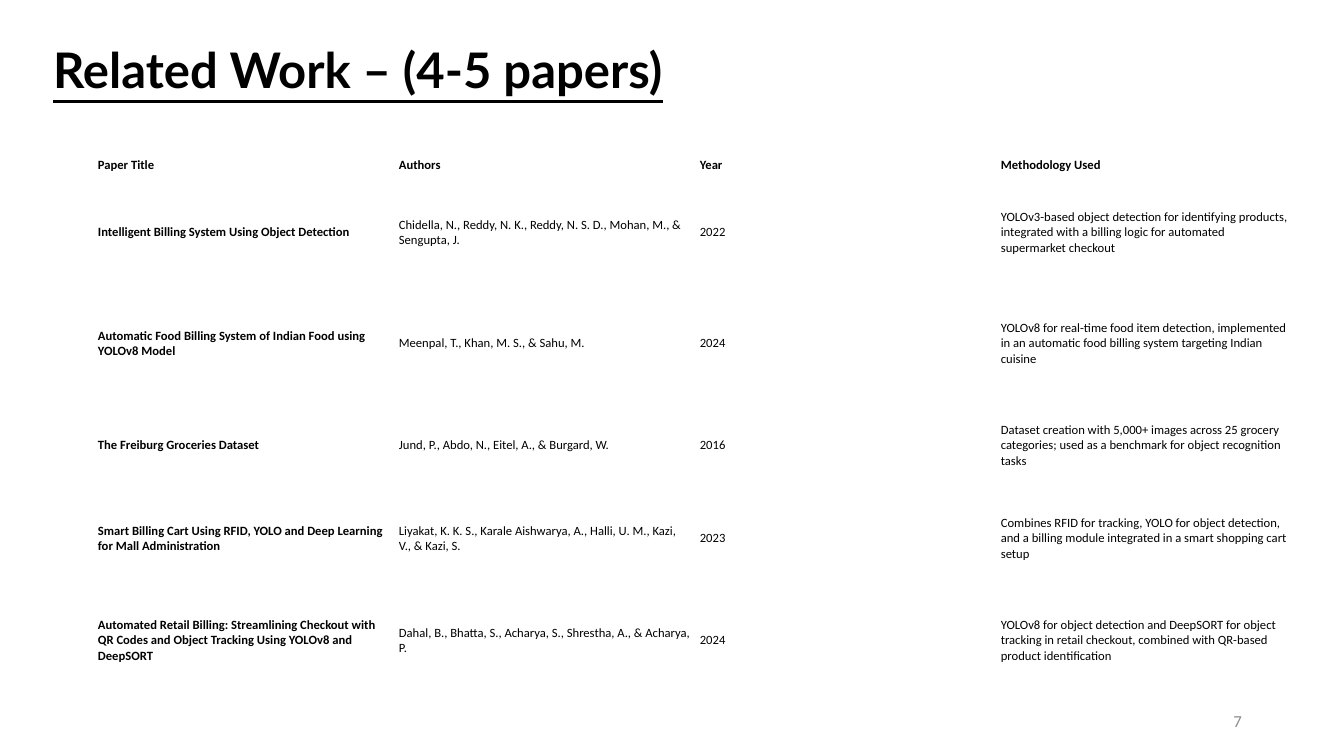
from pptx import Presentation
from pptx import util as u
from pptx.dml.color import RGBColor
from pptx.enum import text

TITLE = "Related Work – (4-5 papers)"
PAGE = "7"
HEADER = ("Paper Title", "Authors", "Year", "Methodology Used")
PAPERS = [
    ("Intelligent Billing System Using Object Detection",
     "Chidella, N., Reddy, N. K., Reddy, N. S. D., Mohan, M., & Sengupta, J.",
     "2022",
     "YOLOv3-based object detection for identifying products, integrated with "
     "a billing logic for automated supermarket checkout"),
    ("Automatic Food Billing System of Indian Food using YOLOv8 Model",
     "Meenpal, T., Khan, M. S., & Sahu, M.",
     "2024",
     "YOLOv8 for real-time food item detection, implemented in an automatic "
     "food billing system targeting Indian cuisine"),
    ("The Freiburg Groceries Dataset",
     "Jund, P., Abdo, N., Eitel, A., & Burgard, W.",
     "2016",
     "Dataset creation with 5,000+ images across 25 grocery categories; used "
     "as a benchmark for object recognition tasks"),
    ("Smart Billing Cart Using RFID, YOLO and Deep Learning for Mall Administration",
     "Liyakat, K. K. S., Karale Aishwarya, A., Halli, U. M., Kazi, V., & Kazi, S.",
     "2023",
     "Combines RFID for tracking, YOLO for object detection, and a billing "
     "module integrated in a smart shopping cart setup"),
    ("Automated Retail Billing: Streamlining Checkout with QR Codes and Object "
     "Tracking Using YOLOv8 and DeepSORT",
     "Dahal, B., Bhatta, S., Acharya, S., Shrestha, A., & Acharya, P.",
     "2024",
     "YOLOv8 for object detection and DeepSORT for object tracking in retail "
     "checkout, combined with QR-based product identification"),
]

COLORS = {"ink": "000000", "page": "8C8C8C"}
FORMATS = {
    "title": {"name": "Lato", "size": u.Pt(35), "bold": True, "underline": True},
    "cell": {"name": "Calibri", "size": u.Pt(9)},
    "page": {"name": "Calibri", "size": u.Pt(12)},
}
SLIDE = (1344, 756)
TITLE_BOX = (43, 0, 1159, 146)
PAGE_BOX = (950, 701, 302, 40)
TABLE_LEFT, TABLE_TOP = 93, 154
COLUMN_WIDTH = 301
ROW_HEIGHTS = (23, 111, 111, 93, 93, 111)
CELL_MARGINS = {"margin_left": 5, "margin_right": 5, "margin_top": 3, "margin_bottom": 3}


def px(n):
    return u.Emu(round(n * 914400 / 100.8))


def set_all(target, values):
    for name, value in values.items():
        setattr(target, name, value)


def write(tf, words, style, color="ink", align=text.PP_ALIGN.LEFT, **extra):
    p = tf.paragraphs[0]
    p.alignment = align
    r = p.add_run()
    r.text = words
    set_all(r.font, {**FORMATS[style], **extra})
    r.font.color.rgb = RGBColor.from_string(COLORS[color])
    return p


def frame(sp):
    tf = sp.text_frame
    set_all(tf, {"word_wrap": True, "auto_size": text.MSO_AUTO_SIZE.NONE,
                 "vertical_anchor": text.MSO_ANCHOR.MIDDLE})
    return tf


def add_title(s):
    sp = s.shapes.title
    set_all(sp, dict(zip(("left", "top", "width", "height"), map(px, TITLE_BOX))))
    write(frame(sp), TITLE, "title").line_spacing = 0.9


def add_papers(s):
    rows = [HEADER, *PAPERS]
    table = s.shapes.add_table(
        len(rows), len(HEADER), px(TABLE_LEFT), px(TABLE_TOP),
        px(COLUMN_WIDTH * len(HEADER)), px(sum(ROW_HEIGHTS))).table
    set_all(table, {"first_row": False, "horz_banding": False})
    for column in table.columns:
        column.width = px(COLUMN_WIDTH)
    for i, (row, height) in enumerate(zip(rows, ROW_HEIGHTS)):
        table.rows[i].height = px(height)
        for j, words in enumerate(row):
            cell = table.cell(i, j)
            cell.fill.background()
            cell.vertical_anchor = text.MSO_ANCHOR.MIDDLE
            set_all(cell, {side: px(n) for side, n in CELL_MARGINS.items()})
            write(cell.text_frame, words, "cell", bold=i == 0 or j == 0)


def main():
    prs = Presentation()
    prs.slide_width, prs.slide_height = map(px, SLIDE)
    s = prs.slides.add_slide(prs.slide_layouts[5])
    add_title(s)
    page = s.shapes.add_textbox(*map(px, PAGE_BOX))
    write(frame(page), PAGE, "page", "page", text.PP_ALIGN.RIGHT)
    add_papers(s)
    prs.save("out.pptx")


if __name__ == "__main__":
    main()
